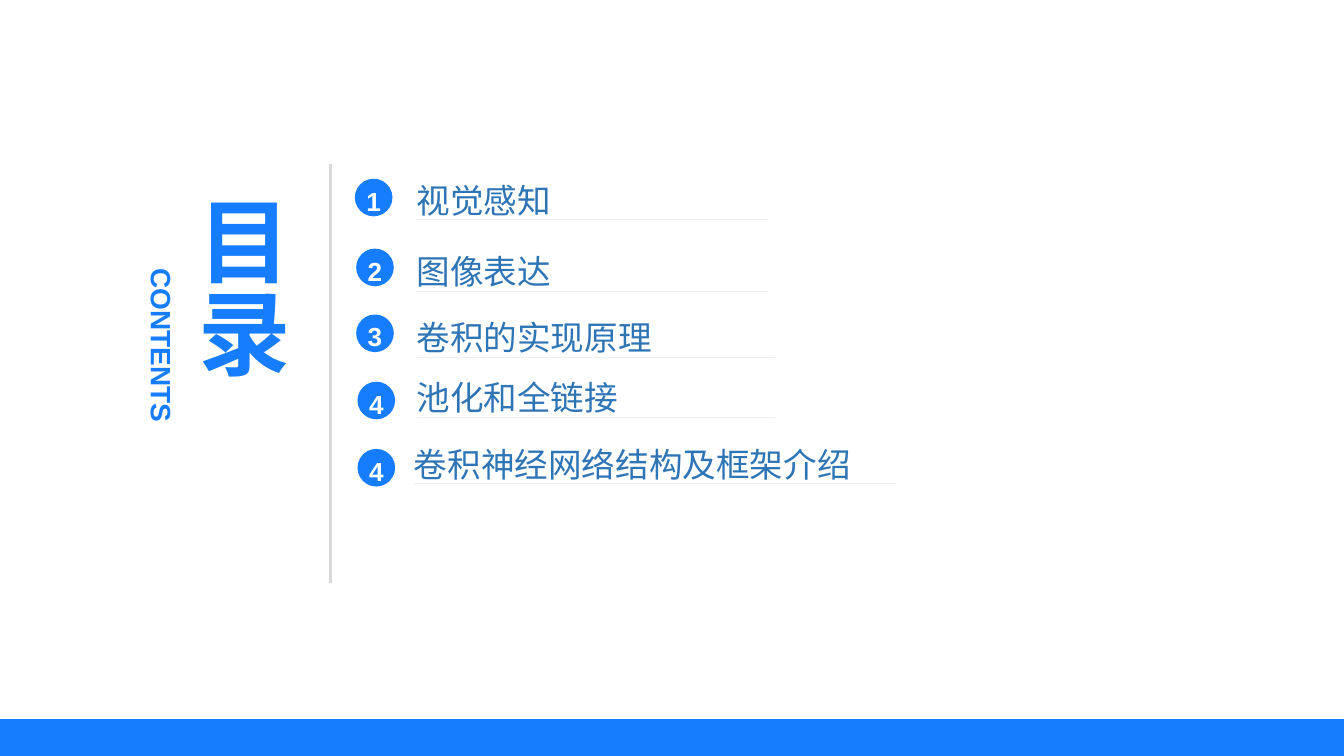
from lxml import etree
from pptx import Presentation
from pptx.dml.color import RGBColor
from pptx.enum.shapes import MSO_CONNECTOR, MSO_SHAPE
from pptx.enum.text import MSO_ANCHOR, MSO_AUTO_SIZE, PP_ALIGN
from pptx.oxml.ns import qn
from pptx.util import Inches, Pt

COLORS = {"blue": "177DFF", "item": "2E75B6", "rule": "D9D9D9",
          "underline": "808080", "white": "FFFFFF"}


def set_fill(s, color):
    """Give a shape a plain fill with no outline or shadow."""
    s.shadow.inherit = False
    s.fill.solid()
    s.fill.fore_color.rgb = RGBColor.from_string(COLORS[color])
    s.line.fill.background()


def write(s, text, size, color, font="Arial", bold=False, align=PP_ALIGN.CENTER,
          anchor=MSO_ANCHOR.MIDDLE, auto_size=MSO_AUTO_SIZE.SHAPE_TO_FIT_TEXT):
    tf = s.text_frame
    tf.word_wrap = True
    tf.auto_size = auto_size
    tf.vertical_anchor = anchor
    tf.margin_left = tf.margin_right = tf.margin_top = tf.margin_bottom = 0
    p = tf.paragraphs[0]
    p.alignment = align
    p.line_spacing = 1.2
    r = p.add_run()
    r.text = text
    r.font.name = font
    r.font.size = Pt(size)
    r.font.bold = bold
    r.font.color.rgb = RGBColor.from_string(COLORS[color])


prs = Presentation()
prs.slide_width = Inches(10)
prs.slide_height = prs.slide_width * 9 // 16
slide = prs.slides.add_slide(prs.slide_layouts[6])
shapes = slide.shapes

# Footer band
band_top = Inches(5.35)
band = shapes.add_shape(MSO_SHAPE.RECTANGLE, 0, band_top, prs.slide_width,
                        prs.slide_height - band_top)
set_fill(band, "blue")

# Vertical title and its rotated subtitle
title = shapes.add_textbox(Inches(1.38), Inches(1.45), Inches(1), Inches(2.21))
write(title, "目录", 49.5, "blue", bold=True)
title.text_frame._txBody.bodyPr.set("vert", "eaVert")

subtitle = shapes.add_textbox(Inches(0.28), Inches(2.43), Inches(1.92), Inches(0.28))
subtitle.rotation = 90
write(subtitle, "CONTENTS", 15, "blue", bold=True, anchor=MSO_ANCHOR.TOP)

# Divider
divider = shapes.add_connector(MSO_CONNECTOR.STRAIGHT, Inches(2.46), Inches(1.22),
                               Inches(2.46), Inches(4.34))
divider.line.color.rgb = RGBColor.from_string(COLORS["rule"])
divider.line.width = Pt(1.5)
etree.SubElement(divider._element.spPr, qn("a:effectLst"))

# number, text, font, entry left, top, right, bottom, badge left, badge top
entries = [
    ("1", "视觉感知", "Times New Roman", 3.1, 1.29, 5.71, 1.63, 2.64, 1.33),
    ("2", "图像表达", "Arial", 3.1, 1.8, 5.71, 2.17, 2.65, 1.85),
    ("3", "卷积的实现原理", "Times New Roman", 3.1, 2.29, 5.77, 2.66, 2.65, 2.34),
    ("4", "池化和全链接", "Times New Roman", 3.1, 2.74, 5.77, 3.11, 2.66, 2.84),
    ("4", "卷积神经网络结构及框架介绍", "Times New Roman", 3.08, 3.24, 6.67, 3.6, 2.66, 3.34),
]
for number, text, font, *edges, badge_x, badge_y in entries:
    left, top, right, bottom = [Inches(edge) for edge in edges]
    # Hairline along the bottom; the point at the top gives the text its height
    outline = shapes.build_freeform(left, bottom)
    outline.add_line_segments([(right, bottom), (left, bottom)], close=True)
    outline.move_to(left, top)
    outline.add_line_segments([(left, top)], close=True)
    entry = outline.convert_to_shape()
    set_fill(entry, "underline")
    write(entry, text, 18, "item", font=font, align=PP_ALIGN.LEFT)

    badge = shapes.add_shape(MSO_SHAPE.OVAL, Inches(badge_x), Inches(badge_y),
                             Inches(0.28), Inches(0.28))
    set_fill(badge, "blue")
    write(badge, number, 14, "white", bold=True, auto_size=MSO_AUTO_SIZE.NONE)

prs.save("out.pptx")
